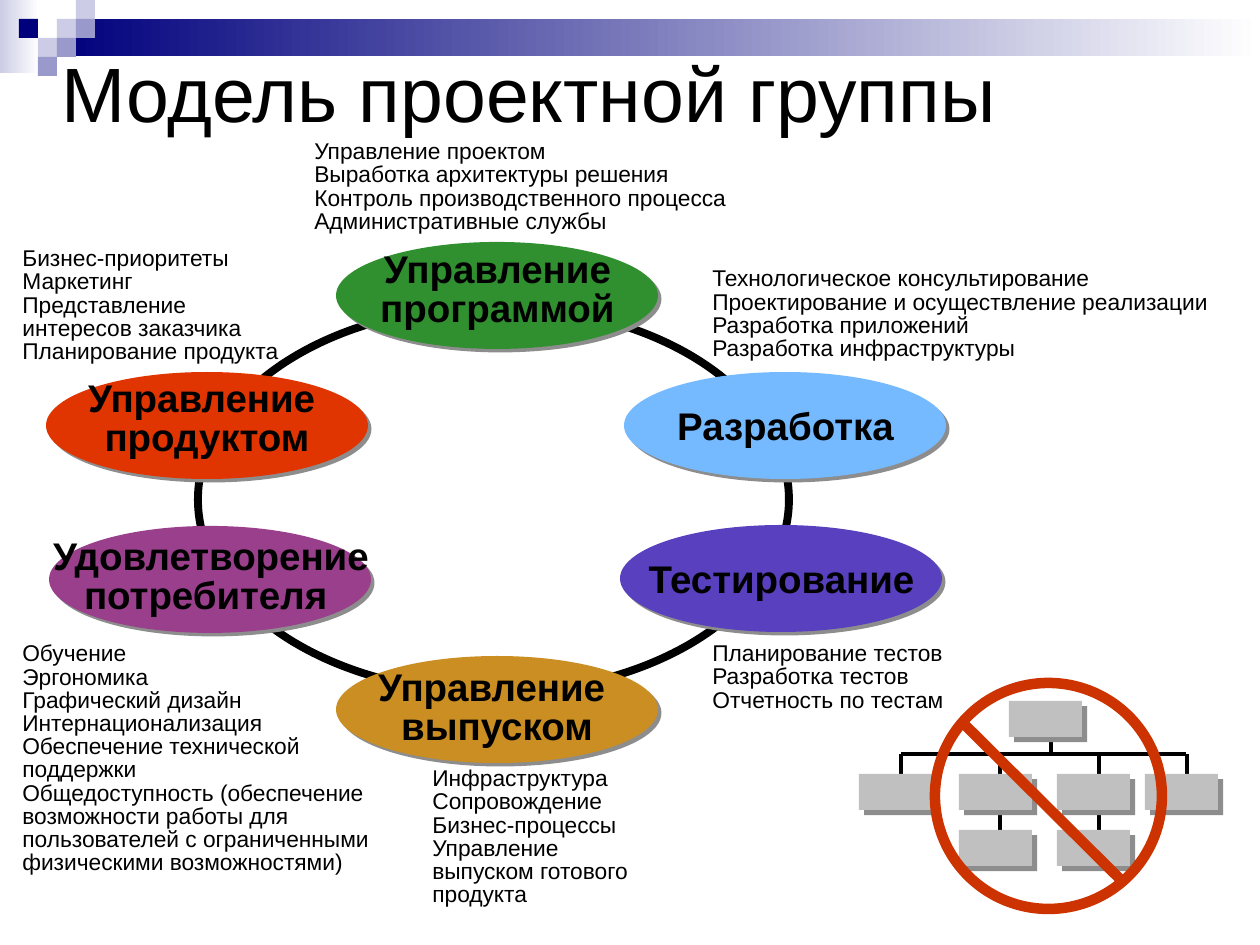
"""Build the project team model slide."""
from typing import NamedTuple, Optional

from lxml.etree import SubElement
from pptx import Presentation
from pptx.dml.color import RGBColor
from pptx.enum.shapes import MSO_CONNECTOR as Connector, MSO_SHAPE as Preset
from pptx.enum.text import MSO_ANCHOR as Anchor, PP_ALIGN as Align
from pptx.oxml.ns import qn
from pptx.util import Emu, Pt

PX = 914400 / 126
BLACK, GREY, RED, NAVY = "000000", "C0C0C0", "CC3300", "00007D"
LILAC, LAVENDER, WHITE, SHADE = "CCCCE6", "9999CC", "FFFFFF", "8D8D8D"
SQUARE = 19
ROLE_W, ROLE_H = 322, 107
UNIT_W, UNIT_H = 73, 36


class Box(NamedTuple):
    """Left, top, width and height in px."""
    x: int
    y: int
    w: int
    h: int


class Role(NamedTuple):
    """An ellipse on the ring with its caption."""
    x: int
    y: int
    color: str
    caption: Box
    lines: list[str]


class Duties(NamedTuple):
    """A list of what one role is responsible for."""
    box: Box
    lines: list[str]


class Line(NamedTuple):
    """Two end points in px."""
    x1: int
    y1: int
    x2: int
    y2: int


SQUARES = [(3, 1, LILAC), (4, 0, LILAC), (4, 1, LAVENDER), (2, 2, LILAC),
           (1, 1, NAVY), (3, 2, LAVENDER), (2, 3, LAVENDER)]

DUTIES = [
    Duties(Box(10, 242, 286, 129), ["Бизнес-приоритеты", "Маркетинг", "Представление",
                                    "интересов заказчика", "Планирование продукта"]),
    Duties(Box(302, 135, 464, 106), ["Управление проектом", "Выработка архитектуры решения",
                                     "Контроль производственного процесса",
                                     "Административные службы"]),
    Duties(Box(700, 262, 540, 106), [
        "Технологическое консультирование Проектирование и осуществление реализации",
        "Разработка приложений", "Разработка инфраструктуры"]),
    Duties(Box(700, 637, 297, 82), ["Планирование тестов", "Разработка тестов",
                                    "Отчетность по тестам"]),
    Duties(Box(420, 762, 228, 151), ["Инфраструктура", "Сопровождение", "Бизнес-процессы",
                                     "Управление выпуском готового продукта"]),
    Duties(Box(10, 637, 378, 244), [
        "Обучение", "Эргономика", "Графический дизайн", "Интернационализация",
        "Обеспечение технической поддержки",
        "Общедоступность (обеспечение возможности работы для пользователей "
        "с ограниченными физическими возможностями)"]),
]

ROLES = [
    Role(624, 372, "75BAFF", Box(664, 396, 243, 59), ["Разработка"]),
    Role(620, 525, "5840BE", Box(634, 549, 295, 59), ["Тестирование"]),
    Role(336, 656, "CA8E22", Box(364, 664, 266, 91), ["Управление ", "выпуском"]),
    Role(49, 526, "993F8C", Box(38, 533, 346, 91), ["Удовлетворение", "потребителя "]),
    Role(46, 372, "E03500", Box(74, 375, 266, 91), ["Управление ", "продуктом"]),
    Role(336, 242, "309030", Box(367, 246, 261, 91), ["Управление", "программой"]),
]

BRANCHES = [Line(1051, 719, 1051, 754), Line(901, 754, 901, 789),
            Line(1099, 754, 1099, 850), Line(1000, 754, 1000, 865),
            Line(1187, 754, 1187, 789), Line(1186, 754, 901, 754)]
UNITS = [(1009, 701), (859, 774), (959, 774), (1057, 774), (1145, 774),
         (959, 830), (1057, 830)]


def px(length: int) -> Emu:
    """Turn px into EMU."""
    return Emu(round(length * PX))


def rgb(color: str) -> RGBColor:
    """Turn a hex string into a colour."""
    return RGBColor.from_string(color)


def add_shadow(effects, distance: float, color: str) -> None:
    """Put a hard diagonal shadow into an effect list."""
    shadow = SubElement(effects, qn("a:outerShdw"), dist=str(Pt(distance)),
                        dir="2700000", algn="ctr", rotWithShape="0")
    SubElement(shadow, qn("a:srgbClr"), val=color)


def draw_shape(slide, preset, box: Box, fill: Optional[str] = None,
               line: Optional[str] = None, weight: float = 0, shadow: float = 0):
    """Draw a preset shape with optional fill, outline and shadow."""
    shape = slide.shapes.add_shape(preset, *map(px, box))
    shape.shadow.inherit = False
    if shadow:
        add_shadow(shape._element.spPr.find(qn("a:effectLst")), shadow, SHADE)
    if fill:
        shape.fill.solid()
        shape.fill.fore_color.rgb = rgb(fill)
    else:
        shape.fill.background()
    if line:
        shape.line.color.rgb = rgb(line)
        shape.line.width = Pt(weight)
    else:
        shape.line.fill.background()
    return shape


def draw_fade(slide, box: Box, color: str) -> None:
    """Draw a rectangle that fades to white from left to right."""
    fill = draw_shape(slide, Preset.RECTANGLE, box).fill
    fill.gradient()
    fill.gradient_angle = 0
    for stop, position, shade in zip(fill.gradient_stops, (0, 1), (color, WHITE)):
        stop.position = position
        stop.color.rgb = rgb(shade)


def draw_line(slide, line: Line, color: str, weight: float) -> None:
    """Draw a straight connector."""
    connector = slide.shapes.add_connector(Connector.STRAIGHT, *map(px, line))
    connector.line.color.rgb = rgb(color)
    connector.line.width = Pt(weight)
    SubElement(connector._element.spPr, qn("a:effectLst"))


def draw_text(slide, box: Box, lines: list[str], size: int, spacing: float = 1,
              caption: bool = False, anchor=Anchor.TOP, before: int = 50) -> None:
    """Write lines as one paragraph; a caption is bold, centred and shadowed."""
    frame = slide.shapes.add_textbox(*map(px, box)).text_frame
    frame.word_wrap = not caption
    frame.vertical_anchor = anchor
    paragraph = frame.paragraphs[0]
    paragraph.alignment = Align.CENTER if caption else Align.LEFT
    paragraph.line_spacing = spacing
    space_before = SubElement(paragraph._p.get_or_add_pPr(), qn("a:spcBef"))
    SubElement(space_before, qn("a:spcPct"), val=str(before * 1000))
    for index, words in enumerate(lines):
        if index:
            paragraph.add_line_break()
        run = paragraph.add_run()
        run.text = words
        run.font.size = Pt(size)
        run.font.bold = caption
        run.font.color.rgb = rgb(BLACK)
        if caption:
            add_shadow(SubElement(run._r.get_or_add_rPr(), qn("a:effectLst")), 2, BLACK)
        run.font.name = "Arial"


def main() -> None:
    """Build and save the slide."""
    deck = Presentation()
    deck.slide_width, deck.slide_height = px(1260), px(945)
    slide = deck.slides.add_slide(deck.slide_layouts[6])

    draw_fade(slide, Box(0, 0, 39, 73), LILAC)
    draw_fade(slide, Box(57, 19, 1203, 37), NAVY)
    for column, row, color in SQUARES:
        draw_shape(slide, Preset.RECTANGLE,
                   Box(column * SQUARE, row * SQUARE, SQUARE, SQUARE), color)
    draw_text(slide, Box(49, 39, 1134, 106), ["Модель проектной группы"], 44,
              anchor=Anchor.MIDDLE, before=0)

    for duties in DUTIES:
        draw_text(slide, duties.box, duties.lines, 13, 0.85)
    draw_shape(slide, Preset.OVAL, Box(198, 306, 591, 387), line=BLACK, weight=4.5)
    for role in ROLES:
        draw_shape(slide, Preset.OVAL, Box(role.x, role.y, ROLE_W, ROLE_H),
                   role.color, shadow=2.8)
        draw_text(slide, role.caption, role.lines, 22,
                  0.85 if len(role.lines) > 1 else 1, caption=True)

    for branch in BRANCHES:
        draw_line(slide, branch, BLACK, 2)
    for x, y in UNITS:
        draw_shape(slide, Preset.RECTANGLE, Box(x, y, UNIT_W, UNIT_H), GREY, shadow=4.2)
    draw_shape(slide, Preset.OVAL, Box(935, 683, 227, 226), line=RED, weight=6)
    draw_line(slide, Line(961, 721, 1123, 882), RED, 6)
    deck.save("out.pptx")


if __name__ == "__main__":
    main()
